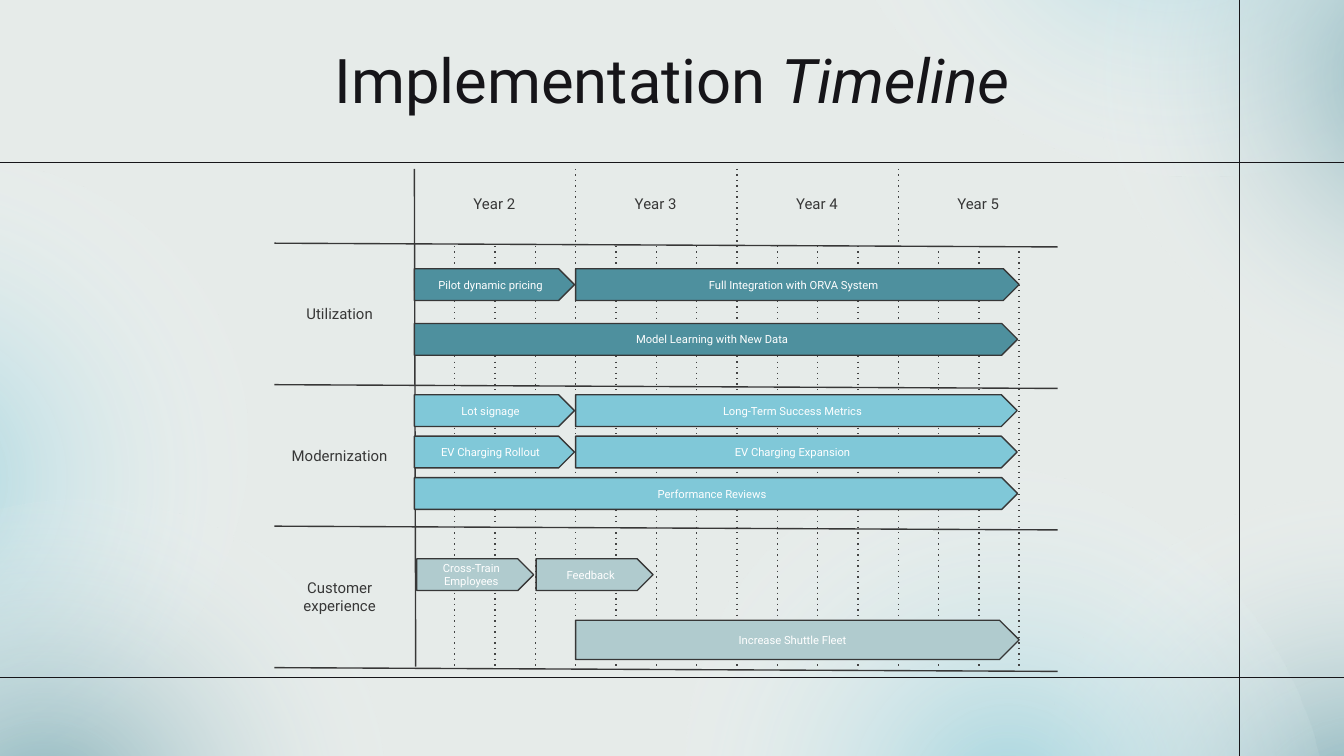
import pptx
import pptx.util
import pptx.dml.color
import pptx.enum.dml
import pptx.enum.shapes
import pptx.enum.text
import pptx.oxml
import pptx.oxml.ns

Pt = pptx.util.Pt
qn = pptx.oxml.ns.qn
SHAPES = pptx.enum.shapes.MSO_SHAPE
ANCHOR = pptx.enum.text.MSO_ANCHOR

WIDTH, HEIGHT = 720, 405
FONT = "Roboto"
INK, LINE, DOTS, WHITE = "161519", "373737", "434343", "FFFFFF"
TEAL, SKY, MIST = "4E909E", "80C8D8", "B0CBCE"

# Timeline geometry, relative to the timeline box
TIMELINE_BOX = (147, 90.5, 419.6, 268.7)
LABEL_WIDTH = 75
QUARTER = 21.6
HEADER_HEIGHT = 39.8
BAND_HEIGHT = 75.8
SLANT = 2
BAR_HEIGHT = 17
YEARS = ["Year 2", "Year 3", "Year 4", "Year 5"]

# Bars: text, first quarter, quarters, distance from top of band, height
BANDS = [
    ("Utilization", 1, TEAL, [
        ("Pilot dynamic pricing", 0, 3.97, 13.7, BAR_HEIGHT),
        ("Full Integration with ORVA System", 4, 11, 13.7, BAR_HEIGHT),
        ("Model Learning with New Data", 0, 14.96, 43, BAR_HEIGHT),
    ]),
    ("Modernization", 1, SKY, [
        ("Lot signage", 0, 3.97, 5.4, BAR_HEIGHT),
        ("Long-Term Success Metrics", 4, 10.95, 5.4, BAR_HEIGHT),
        ("EV Charging Rollout", 0, 3.97, 27.6, BAR_HEIGHT),
        ("EV Charging Expansion", 4, 10.95, 27.6, BAR_HEIGHT),
        ("Performance Reviews", 0, 14.96, 49.8, BAR_HEIGHT),
    ]),
    ("Customer experience", 2, MIST, [
        ("Cross-Train Employees", 0.06, 2.9, 17.5, BAR_HEIGHT),
        ("Feedback", 3.02, 2.9, 17.5, BAR_HEIGHT),
        ("Increase Shuttle Fleet", 4, 11, 50.4, 21),
    ]),
]


def color(value):
    return pptx.dml.color.RGBColor.from_string(value)


def write(shape, *parts, size, ink, anchor=ANCHOR.TOP):
    """Fill a shape with one centred paragraph; each part is (text, italic)."""
    frame = shape.text_frame
    frame.word_wrap = True
    frame.auto_size = pptx.enum.text.MSO_AUTO_SIZE.NONE
    frame.vertical_anchor = anchor
    frame.margin_left = frame.margin_right = Pt(7.2)
    frame.margin_top = frame.margin_bottom = Pt(7.2)
    paragraph = frame.paragraphs[0]
    paragraph.alignment = pptx.enum.text.PP_ALIGN.CENTER
    for text, italic in parts:
        run = paragraph.add_run()
        run.text = text
        run.font.name = FONT
        run.font.size = Pt(size)
        run.font.italic = italic
        run.font.color.rgb = color(ink)


def add_line(slide, start, end, ink, dotted=False):
    line = slide.shapes.add_connector(
        pptx.enum.shapes.MSO_CONNECTOR.STRAIGHT, *map(Pt, start + end))
    line.line.color.rgb = color(ink)
    line.line.width = Pt(0.75)
    if dotted:
        line.line.dash_style = pptx.enum.dml.MSO_LINE.ROUND_DOT
        line.element.find(".//" + qn("a:prstDash")).set("val", "dot")
    line.element.spPr.append(pptx.oxml.parse_xml(
        f"<a:effectLst {pptx.oxml.ns.nsdecls('a')}/>"))


def add_glow(slide, left, top, rotation, tint, opacity):
    """An ellipse that fades from a tinted centre to nothing."""
    glow = slide.shapes.add_shape(
        SHAPES.OVAL, Pt(left), Pt(top), Pt(375.8), Pt(331.2))
    glow.shadow.inherit = False
    glow.rotation = rotation
    glow.line.fill.background()
    stops = "".join(
        f'<a:gs pos="{position * 1000}"><a:srgbClr val="{value}">'
        f'<a:alpha val="{alpha * 1000}"/></a:srgbClr></a:gs>'
        for position, value, alpha in
        [(0, tint, opacity), (58, WHITE, 0), (100, WHITE, 0)])
    gradient = pptx.oxml.parse_xml(
        f"<a:gradFill {pptx.oxml.ns.nsdecls('a')}><a:gsLst>{stops}</a:gsLst>"
        '<a:path path="circle"><a:fillToRect l="50000" t="50000" '
        'r="50000" b="50000"/></a:path></a:gradFill>')
    glow.element.spPr.find(qn("a:prstGeom")).addnext(gradient)


def add_backdrop(slide, left, top, width, height):
    slide.background.fill.solid()
    slide.background.fill.fore_color.rgb = color("E6EBE9")
    # Glows in three corners
    for x, y, rotation, tint, opacity in [
            (542.2, 284.4, 237.1, TEAL, 81), (352.1, 265, 237.1, SKY, 68),
            (439.2, -239.8, 202, SKY, 68), (581, -125.3, 202, TEAL, 68),
            (-237.6, 90.7, 149, SKY, 68), (-164.9, 273.6, 149, TEAL, 68)]:
        add_glow(slide, left + x, top + y, rotation, tint, opacity)
    # Frame lines
    for y in (87, 363):
        add_line(slide, (left, top + y), (left + width, top + y), INK)
    add_line(slide, (left + 664, top), (left + 664, top + height), INK)


def add_title(slide, left, top, width, height):
    title = slide.shapes.title
    title.left, title.top = Pt(left), Pt(top)
    title.width, title.height = Pt(width), Pt(height)
    write(title, ("Implementation ", False), ("Timeline", True),
          size=33, ink=INK, anchor=ANCHOR.MIDDLE)
    title.element.getparent().append(title.element)  # in front of the backdrop


def add_label(slide, text, left, top, width, height):
    label = slide.shapes.add_textbox(Pt(left), Pt(top), Pt(width), Pt(height))
    write(label, (text, None), size=8, ink=LINE)


def add_grid(slide, left, top, width, height):
    axis, bottom = left + LABEL_WIDTH, top + height - SLANT
    add_line(slide, (axis, top), (axis + 0.7, bottom), LINE)
    # Quarter lines; those between years rise through the header
    for quarter in range(1, 16):
        x = axis + quarter * QUARTER
        start = top if quarter % 4 == 0 else top + HEADER_HEIGHT + 1.5
        add_line(slide, (x, start), (x, bottom), DOTS, dotted=True)
    # Band borders
    for border in range(len(BANDS) + 1):
        y = top + HEADER_HEIGHT + border * BAND_HEIGHT
        add_line(slide, (left, y), (left + width, y + SLANT), LINE)
    # Year headings
    for index, year in enumerate(YEARS):
        add_label(slide, year, axis + index * 4 * QUARTER, top + 6.7, 85.7, 24.5)


def add_band(slide, band, left, top, height):
    name, line_count, fill, bars = band
    label_height = 15 + 9.4 * line_count
    add_label(slide, name, left - 2, top + (height - label_height) / 2,
              74, label_height)
    for text, start, quarters, offset, bar_height in bars:
        bar = slide.shapes.add_shape(
            SHAPES.PENTAGON, Pt(left + LABEL_WIDTH + start * QUARTER),
            Pt(top + offset), Pt(quarters * QUARTER), Pt(bar_height))
        bar.shadow.inherit = False
        bar.fill.solid()
        bar.fill.fore_color.rgb = color(fill)
        bar.line.color.rgb = color(LINE)
        bar.line.width = Pt(0.75)
        write(bar, (text, None), size=6, ink=WHITE, anchor=ANCHOR.MIDDLE)


def add_timeline(slide, left, top, width, height):
    add_grid(slide, left, top, width, height)
    for index, band in enumerate(BANDS):
        band_top = top + HEADER_HEIGHT + index * BAND_HEIGHT
        add_band(slide, band, left, band_top, BAND_HEIGHT)


def main():
    deck = pptx.Presentation()
    deck.slide_width, deck.slide_height = Pt(WIDTH), Pt(HEIGHT)
    slide = deck.slides.add_slide(deck.slide_layouts[5])
    add_backdrop(slide, 0, 0, WIDTH, HEIGHT)
    add_title(slide, 56.2, 19.5, 607.6, 45.4)
    add_timeline(slide, *TIMELINE_BOX)
    deck.save("out.pptx")


if __name__ == "__main__":
    main()
